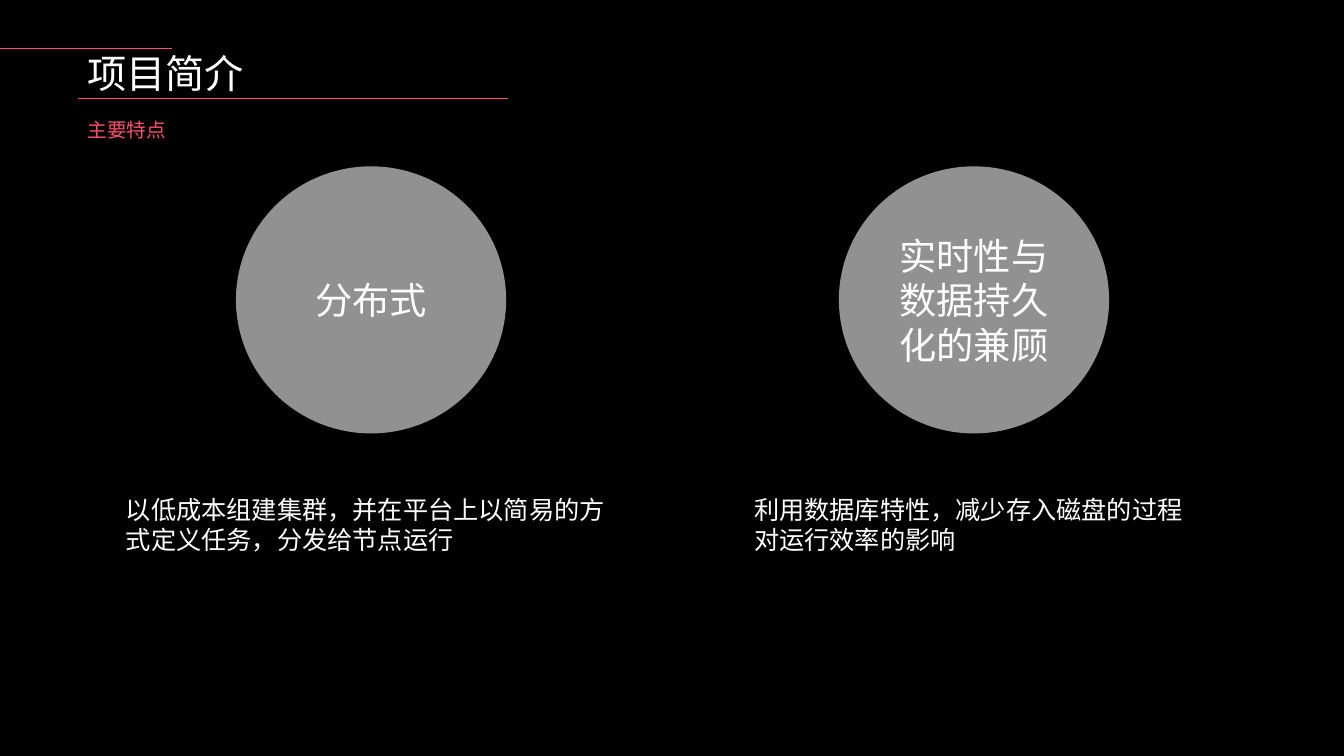
import pptx
import pptx.util
import pptx.dml.color
import pptx.enum.shapes
import pptx.enum.text
from lxml import etree
from pptx.oxml.ns import qn
from pptx.util import Inches

# Content
BLACK, WHITE, RED, GREY = "000000", "FFFFFF", "FD4F69", "919191"
TEXT_FONT, CIRCLE_FONT = "Lato", "Noto Sans CJK SC"

# text, left, top, width, height, size, colour
HEADINGS = [
    ("主要特点", 0.77, 1.15, 5.91, 0.31, 14, RED),
    ("项目简介", 0.77, 0.49, 2.04, 0.47, 28, WHITE),
]
# start x, end x, y
RULES = [(0, 1.71, 0.48), (0.77, 5.04, 0.98)]
# circle label, circle left, description, description left, description width
FEATURES = [
    ("分布式", 2.34,
     "以低成本组建集群，并在平台上以简易的方式定义任务，分发给节点运行", 1.15, 4.96),
    ("实时性与数据持久化的兼顾", 8.32,
     "利用数据库特性，减少存入磁盘的过程对运行效率的影响", 7.38, 4.49),
]
CIRCLE_TOP, CIRCLE_WIDTH, CIRCLE_HEIGHT = 1.65, 2.68, 2.65
DESCRIPTION_TOP, DESCRIPTION_HEIGHT = 4.85, 0.71


def paint(color_format, colour):
    color_format.rgb = pptx.dml.color.RGBColor.from_string(colour)


def write(shape, text, size, colour, font=TEXT_FONT):
    shape.text_frame.word_wrap = True
    para = shape.text_frame.paragraphs[0]
    para.text = text
    para.font.name = font
    para.font.size = pptx.util.Pt(size)
    paint(para.font.color, colour)
    return para


def add_text(page, text, left, top, width, height, size, colour):
    box = page.shapes.add_textbox(Inches(left), Inches(top), Inches(width), Inches(height))
    return write(box, text, size, colour)


def add_rule(page, start, end, y):
    rule = page.shapes.add_connector(
        pptx.enum.shapes.MSO_CONNECTOR.STRAIGHT, Inches(start), Inches(y), Inches(end), Inches(y))
    paint(rule.line.color, RED)
    rule.line.width = pptx.util.Pt(1)
    etree.SubElement(rule._element.spPr, qn("a:effectLst"))


def add_circle(page, label, left):
    circle = page.shapes.add_shape(
        pptx.enum.shapes.MSO_SHAPE.OVAL, Inches(left), Inches(CIRCLE_TOP),
        Inches(CIRCLE_WIDTH), Inches(CIRCLE_HEIGHT))
    circle.shadow.inherit = False
    circle.fill.solid()
    paint(circle.fill.fore_color, GREY)
    circle.line.fill.background()
    circle.text_frame.vertical_anchor = pptx.enum.text.MSO_ANCHOR.MIDDLE
    para = write(circle, label, 26.6, WHITE, CIRCLE_FONT)
    para.alignment = pptx.enum.text.PP_ALIGN.CENTER


def main():
    deck = pptx.Presentation()
    deck.slide_width, deck.slide_height = Inches(13.33), Inches(7.5)
    page = deck.slides.add_slide(deck.slide_layouts[6])
    page.background.fill.solid()
    paint(page.background.fill.fore_color, BLACK)

    # Header
    for rule in RULES:
        add_rule(page, *rule)
    for heading in HEADINGS:
        add_text(page, *heading).line_spacing = 0.9

    # Features
    for label, circle_left, *_ in FEATURES:
        add_circle(page, label, circle_left)
    for _, _, description, left, width in FEATURES:
        add_text(page, description, left, DESCRIPTION_TOP, width, DESCRIPTION_HEIGHT, 18, WHITE)

    deck.save("out.pptx")


if __name__ == "__main__":
    main()
